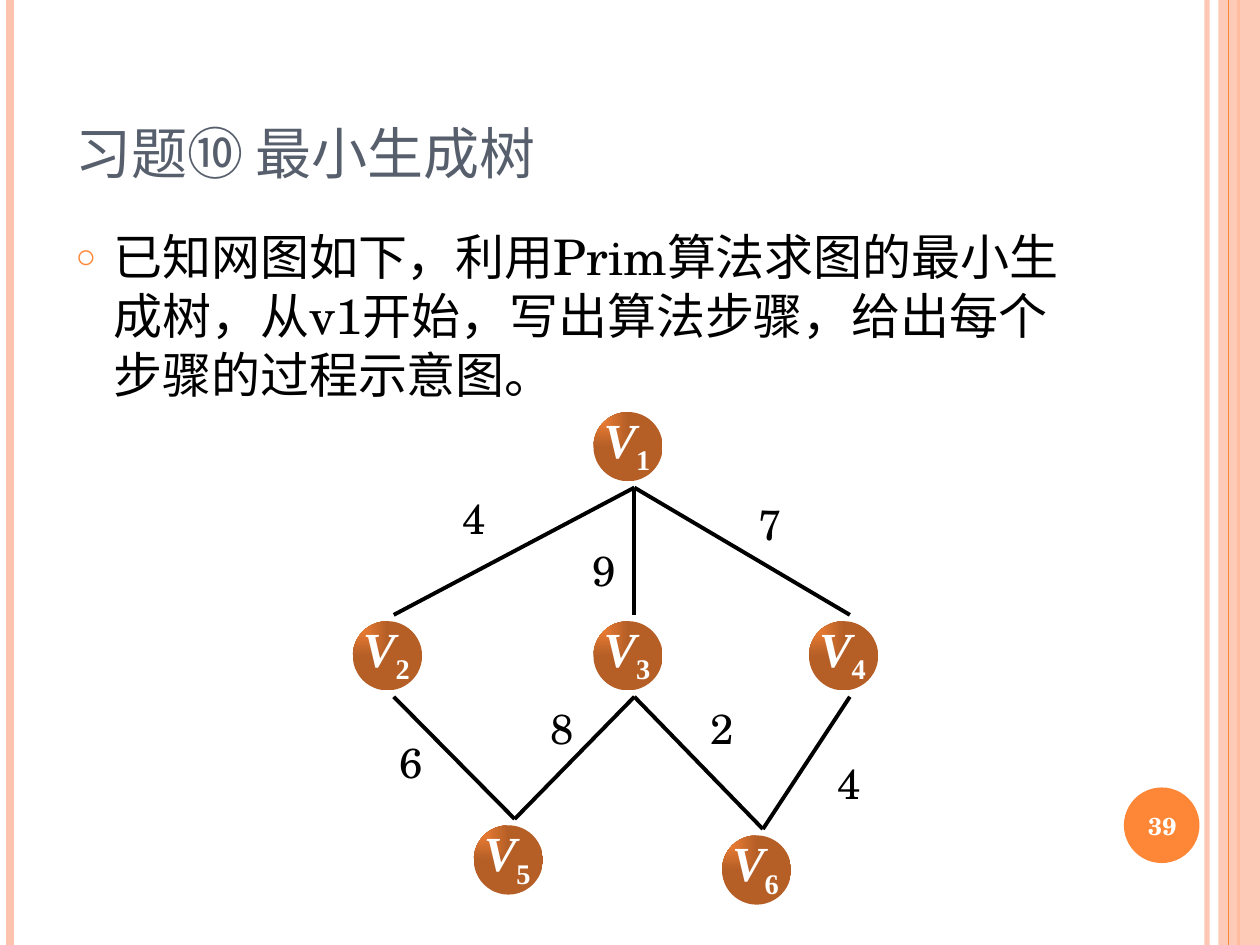
from typing import NamedTuple

from lxml.etree import SubElement
from pptx import Presentation
from pptx.dml.color import RGBColor
from pptx.enum.shapes import MSO_CONNECTOR as CONN, MSO_SHAPE as SHAPE
from pptx.enum.text import MSO_ANCHOR as ANCHOR, MSO_AUTO_SIZE as AUTO, PP_ALIGN as ALIGN
from pptx.oxml import parse_xml
from pptx.oxml.ns import nsdecls, qn
from pptx.util import Inches, Pt

SERIF, CJK, TIMES = "TeX Gyre Schola", "Noto Sans CJK SC", "Times New Roman"
ORANGE, PEACH, BLACK, WHITE, SLATE = "FE8637", "FEC3AE", "000000", "FFFFFF", "575F6D"
LABEL_W, LABEL_H, DISC = 0.51, 0.65, 0.55
TOP, BOTTOM = 0, 2


class Rail(NamedTuple):
    x: float
    color: str
    width: float
    alpha: int = 100


class Vertex(NamedTuple):
    number: str
    x: float
    y: float


class Edge(NamedTuple):
    start: str
    end: str
    weight: str
    x: float
    y: float


RAILS = [Rail(9.58, PEACH, 3, 93), Rail(0.08, PEACH, 4.5),
         Rail(9.83, ORANGE, 1.5), Rail(9.75, ORANGE, 0.75)]
# Positions of the vertex label boxes
VERTICES = [Vertex("1", 4.78, 3.22), Vertex("3", 4.78, 4.88), Vertex("2", 2.87, 4.88),
            Vertex("4", 6.49, 4.88), Vertex("5", 3.83, 6.5), Vertex("6", 5.8, 6.58)]
# Positions of the weight boxes
EDGES = [Edge("1", "2", "4", 3.57, 3.86), Edge("1", "3", "9", 4.6, 4.27),
         Edge("1", "4", "7", 5.92, 3.91), Edge("4", "6", "4", 6.55, 5.96),
         Edge("3", "5", "8", 4.27, 5.53), Edge("3", "6", "2", 5.54, 5.53),
         Edge("2", "5", "6", 3.07, 5.8)]


def rgb(value: str) -> RGBColor:
    return RGBColor.from_string(value)


def set_alpha(color_parent, percent: int) -> None:
    color = color_parent.find(".//" + qn("a:srgbClr"))
    SubElement(color, qn("a:alpha")).set("val", str(percent * 1000))


def place(sp, x: float, y: float, w: float, h: float) -> None:
    sp.left, sp.top, sp.width, sp.height = map(Inches, (x, y, w, h))


def add_run(p, text: str, *, size: float, font: str = SERIF, color: str = BLACK,
            bold: bool = False, italic: bool = False, baseline: int = 0,
            small_caps: bool = False) -> None:
    r = p.add_run()
    r.text = text
    r.font.size, r.font.name = Pt(size), font
    r.font.bold, r.font.italic = bold, italic
    r.font.color.rgb = rgb(color)
    props = r.font._element
    SubElement(props, qn("a:ea")).set("typeface", CJK)
    if baseline:
        props.set("baseline", str(baseline * 1000))
    if small_caps:
        props.set("cap", "small")


def add_text_box(slide, x: float, y: float, w: float, h: float, wrap: bool = True):
    sp = slide.shapes.add_textbox(*map(Inches, (x, y, w, h)))
    sp.text_frame.word_wrap = wrap
    return sp


def add_shape(slide, kind, x: float, y: float, w: float, h: float, color: str = ORANGE):
    sp = slide.shapes.add_shape(kind, *map(Inches, (x, y, w, h)))
    sp.shadow.inherit = False
    sp.fill.solid()
    sp.fill.fore_color.rgb = rgb(color)
    sp.line.fill.background()
    return sp


def add_line(slide, x1: float, y1: float, x2: float, y2: float, color: str, width: float):
    line = slide.shapes.add_connector(CONN.STRAIGHT, *map(Inches, (x1, y1, x2, y2)))
    line.line.color.rgb = rgb(color)
    line.line.width = Pt(width)
    SubElement(line._element.spPr, qn("a:effectLst"))
    return line


def add_rail(slide, rail: Rail) -> None:
    line = add_line(slide, rail.x, 0, rail.x, 7.5, rail.color, rail.width)
    if rail.alpha < 100:
        set_alpha(line._element.spPr, rail.alpha)


def add_vertex(slide, v: Vertex):
    """Draw a shaded disc and return the label box on it."""
    disc = add_shape(slide, SHAPE.OVAL, v.x - 0.07, v.y + 0.05, DISC, DISC)
    props = disc._element.spPr
    props.replace(props.find(qn("a:solidFill")), parse_xml(
        f'<a:gradFill {nsdecls("a")} rotWithShape="1"><a:gsLst>'
        f'<a:gs pos="0"><a:srgbClr val="{ORANGE}"/></a:gs>'
        f'<a:gs pos="100000"><a:srgbClr val="{ORANGE}"><a:shade val="46275"/></a:srgbClr></a:gs>'
        '</a:gsLst><a:path path="rect"><a:fillToRect r="100000" b="100000"/></a:path>'
        '</a:gradFill>'))
    label = add_text_box(slide, v.x, v.y, LABEL_W, LABEL_H)
    tf = label.text_frame
    tf.margin_left, tf.margin_top = Inches(0.01), Inches(0.03)
    tf.margin_right, tf.margin_bottom = 0, Inches(0.01)
    p = tf.paragraphs[0]
    p.alignment = ALIGN.JUSTIFY
    style = dict(size=28, font=TIMES, color=WHITE, bold=True)
    add_run(p, "V", italic=True, **style)
    add_run(p, v.number, baseline=-25, **style)
    return label


def add_edge(slide, edge: Edge, labels: dict) -> None:
    line = add_line(slide, 0, 0, 1, 1, BLACK, 2.25)
    line.begin_connect(labels[edge.start], BOTTOM)
    line.end_connect(labels[edge.end], TOP)


def add_weight(slide, edge: Edge) -> None:
    sp = add_text_box(slide, edge.x, edge.y, 0.39, 0.5, wrap=False)
    sp.text_frame.auto_size = AUTO.SHAPE_TO_FIT_TEXT
    add_run(sp.text_frame.paragraphs[0], edge.weight, size=24)


def fill_title(sp) -> None:
    place(sp, 0.5, 0.3, 8.17, 1.25)
    tf = sp.text_frame
    tf.auto_size, tf.vertical_anchor = AUTO.NONE, ANCHOR.BOTTOM
    p = tf.paragraphs[0]
    p.alignment = ALIGN.LEFT
    add_run(p, "习题⑩ 最小生成树", size=40, font=CJK, color=SLATE, small_caps=True)


def fill_body(sp) -> None:
    place(sp, 0.5, 1.75, 8.17, 5.33)
    tf = sp.text_frame
    tf.auto_size = AUTO.NONE
    p = tf.paragraphs[0]
    p.space_before = Pt(0)
    props = p._element.get_or_add_pPr()
    props.set("marL", str(Inches(0.3)))
    props.set("indent", str(Inches(-0.3)))
    SubElement(SubElement(props, qn("a:buClr")), qn("a:srgbClr")).set("val", ORANGE)
    SubElement(props, qn("a:buSzPct")).set("val", "70000")
    SubElement(props, qn("a:buChar")).set("char", "○")
    add_run(p, "已知网图如下，利用Prim算法求图的最小生成树，从v1开始，"
               "写出算法步骤，给出每个步骤的过程示意图。", size=28)


def main() -> None:
    prs = Presentation()
    prs.slide_width, prs.slide_height = Inches(10), Inches(7.5)
    slide = prs.slides.add_slide(prs.slide_layouts[1])

    # Side rails and band
    for rail in RAILS[:3]:
        add_rail(slide, rail)
    band = add_shape(slide, SHAPE.RECTANGLE, 9.67, 0, 0.33, 7.5, PEACH)
    set_alpha(band._element.spPr, 87)
    add_rail(slide, RAILS[3])

    # Title and question
    fill_title(slide.shapes.title)
    fill_body(slide.placeholders[1])

    # Page number
    add_shape(slide, SHAPE.OVAL, 8.92, 6.25, 0.6, 0.6)
    tf = add_text_box(slide, 8.89, 6.27, 0.67, 0.57).text_frame
    tf.vertical_anchor = ANCHOR.MIDDLE
    tf.paragraphs[0].alignment = ALIGN.CENTER
    add_run(tf.paragraphs[0], "39", size=14, color=WHITE, bold=True)

    # Weighted graph
    labels = {v.number: add_vertex(slide, v) for v in VERTICES}
    for edge in EDGES:
        add_edge(slide, edge, labels)
    for edge in EDGES:
        add_weight(slide, edge)

    prs.save("out.pptx")


if __name__ == "__main__":
    main()
